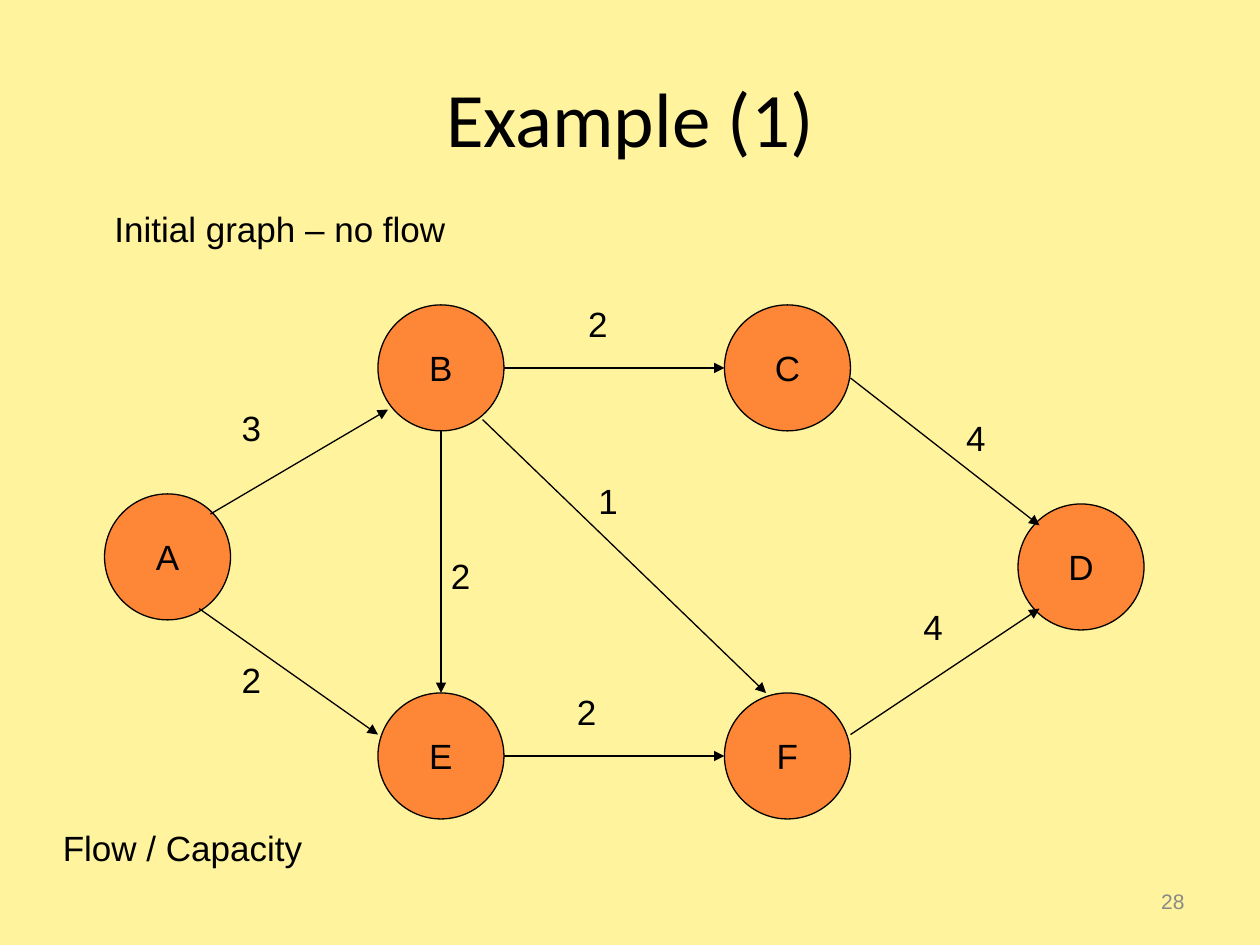
from pptx import Presentation
from pptx.dml.color import RGBColor
from pptx.enum.shapes import MSO_CONNECTOR, MSO_SHAPE
from pptx.enum.text import MSO_ANCHOR, MSO_AUTO_SIZE, PP_ALIGN
from pptx.oxml.ns import qn
from pptx.util import Inches, Pt
from lxml import etree

STRAIGHT = MSO_CONNECTOR.STRAIGHT
ELLIPSE = MSO_SHAPE.OVAL
TOP, MIDDLE = MSO_ANCHOR.TOP, MSO_ANCHOR.MIDDLE
LEFT, CENTER, RIGHT = PP_ALIGN.LEFT, PP_ALIGN.CENTER, PP_ALIGN.RIGHT
FIT_SHAPE = MSO_AUTO_SIZE.SHAPE_TO_FIT_TEXT

BACKGROUND, ORANGE, BLACK, GRAY = "FFF39D", "FE8637", "000000", "898989"
NODE_SIZE = 1
LABEL_WIDTH, LABEL_HEIGHT = 0.35, 0.44

NODES = {
    "A": (0, 1.5),
    "B": (2.17, 0),
    "C": (4.92, 0),
    "D": (7.25, 1.58),
    "E": (2.17, 3.08),
    "F": (4.92, 3.08),
}

EDGES = [
    ("A", (0.84, 0.16), "B", (0.08, 0.83), "3", (0.99, 0.76)),
    ("A", (0.75, 0.91), "E", (0, 0.33), "2", (0.99, 2.76)),
    ("B", (1, 0.5), "C", (0, 0.5), "2", (3.74, -0.07)),
    ("B", (0.83, 0.91), "F", (0.33, 0), "1", (3.82, 1.34)),
    ("B", (0.5, 1), "E", (0.5, 0), "2", (2.65, 1.93)),
    ("E", (1, 0.5), "F", (0, 0.5), "2", (3.65, 3.01)),
    ("C", (1, 0.58), "D", (0.17, 0.17), "4", (6.74, 0.84)),
    ("F", (1, 0.33), "D", (0.17, 0.83), "4", (6.4, 2.34)),
]


def color(value):
    """Return the colour of a hex string."""
    return RGBColor.from_string(value)


def write_text(shape, text, size=20, font="Arial", fill=BLACK, align=LEFT, anchor=TOP, wrap=False):
    """Write one formatted paragraph into a shape."""
    frame = shape.text_frame
    frame.word_wrap = wrap
    frame.vertical_anchor = anchor
    paragraph = frame.paragraphs[0]
    paragraph.alignment = align
    run = paragraph.add_run()
    run.text = text
    run.font.size = Pt(size)
    run.font.name = font
    run.font.color.rgb = color(fill)


def add_text(slide, box, text, **text_format):
    """Add a text box at a left, top, width, height box in inches."""
    shape = slide.shapes.add_textbox(*map(Inches, box))
    write_text(shape, text, **text_format)
    return shape


def add_label(slide, box, text):
    """Add a text box that grows with its text."""
    add_text(slide, box, text).text_frame.auto_size = FIT_SHAPE


def add_node(slide, box, name):
    """Add a lettered graph node."""
    shape = slide.shapes.add_shape(ELLIPSE, *map(Inches, box))
    shape.shadow.inherit = False
    shape.fill.solid()
    shape.fill.fore_color.rgb = color(ORANGE)
    shape.line.color.rgb = color(BLACK)
    shape.line.width = Pt(0.75)
    write_text(shape, name, align=CENTER, anchor=MIDDLE)


def add_arrow(slide, start, end):
    """Add a thin line with an arrowhead at its end."""
    connector = slide.shapes.add_connector(STRAIGHT, *map(Inches, (*start, *end)))
    connector.line.color.rgb = color(BLACK)
    connector.line.width = Pt(0.75)
    properties = connector.element.spPr
    etree.SubElement(properties.find(qn("a:ln")), qn("a:tailEnd"), type="triangle")
    etree.SubElement(properties, qn("a:effectLst"))


def add_graph(slide, left, top):
    """Place the nodes, edges and capacities from the graph's top left corner."""
    corners = {name: (left + x, top + y) for name, (x, y) in NODES.items()}
    for name, corner in corners.items():
        add_node(slide, (*corner, NODE_SIZE, NODE_SIZE), name)

    def node_point(name, point):
        """Return the slide position of a point on a node's square."""
        return tuple(c + NODE_SIZE * p for c, p in zip(corners[name], point))

    for first, start, second, end, capacity, (x, y) in EDGES:
        add_arrow(slide, node_point(first, start), node_point(second, end))
        add_label(slide, (left + x, top + y, LABEL_WIDTH, LABEL_HEIGHT), capacity)


def main():
    """Build and save the slide."""
    presentation = Presentation()
    presentation.slide_width = Inches(10)
    presentation.slide_height = Inches(7.5)
    slide = presentation.slides.add_slide(presentation.slide_layouts[6])
    slide.background.fill.solid()
    slide.background.fill.fore_color.rgb = color(BACKGROUND)

    add_text(slide, (0.5, 0.3, 9, 1.25), "Example (1)", size=44, font="Calibri",
             align=CENTER, anchor=MIDDLE, wrap=True)
    add_label(slide, (0.81, 1.6, 2.83, LABEL_HEIGHT), "Initial graph – no flow")
    add_graph(slide, 0.83, 2.42)
    add_label(slide, (0.4, 6.51, 2.1, LABEL_HEIGHT), "Flow / Capacity")
    add_text(slide, (7.17, 6.95, 2.33, 0.4), "28", size=12, fill=GRAY,
             align=RIGHT, anchor=MIDDLE, wrap=True)
    presentation.save("out.pptx")


if __name__ == "__main__":
    main()
